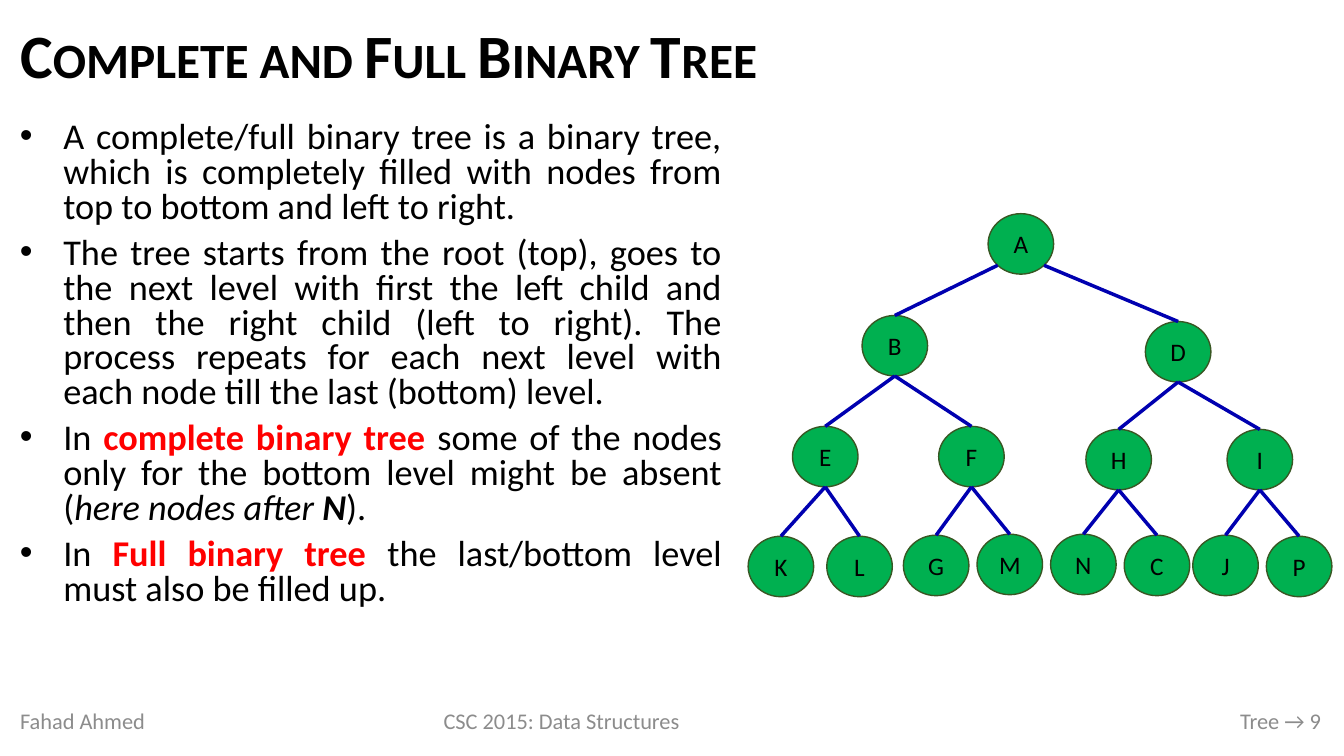
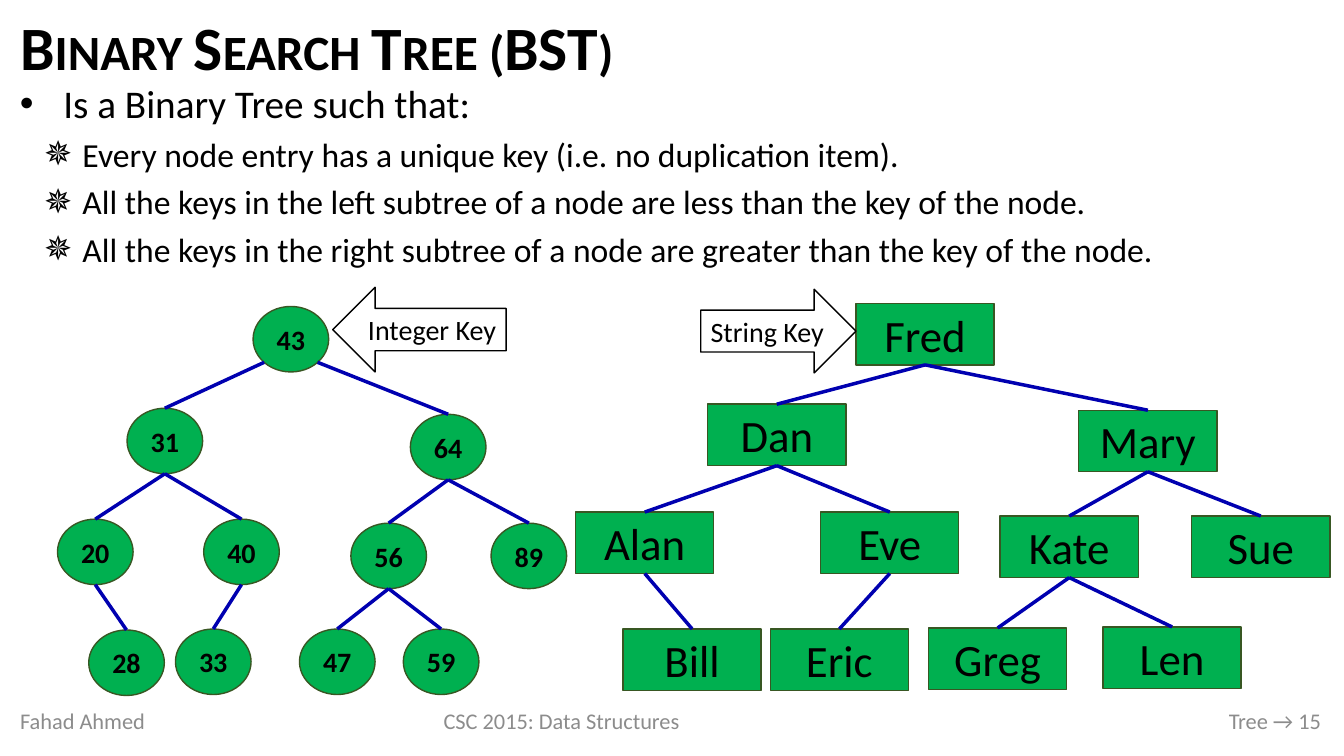
from dataclasses import dataclass
from math import sqrt

from lxml import etree
from pptx import Presentation
from pptx.dml.color import RGBColor
from pptx.enum.shapes import MSO_CONNECTOR, MSO_SHAPE
from pptx.enum.text import MSO_ANCHOR, PP_ALIGN
from pptx.oxml.ns import qn
from pptx.util import Emu, Pt

EMU_PER_PX = 9144  # 100 px to the inch
TITLE_ONLY = 5
OVAL, BOX = MSO_SHAPE.OVAL, MSO_SHAPE.RECTANGLE
LEFT_ARROW, RIGHT_ARROW = MSO_SHAPE.LEFT_ARROW, MSO_SHAPE.RIGHT_ARROW
STRAIGHT = MSO_CONNECTOR.STRAIGHT
MIDDLE, TOP = MSO_ANCHOR.MIDDLE, MSO_ANCHOR.TOP
LEFT, CENTER, RIGHT = PP_ALIGN.LEFT, PP_ALIGN.CENTER, PP_ALIGN.RIGHT
JUSTIFY = PP_ALIGN.JUSTIFY


@dataclass(frozen=True)
class Theme:
    font: str = "Calibri"
    text: str = "000000"
    keyword: str = "FF0000"
    footer: str = "8C8C8C"
    paper: str = "FFFFFF"
    node: str = "00B050"
    node_line: str = "385723"
    edge: str = "0000B0"
    title_size: float = 44
    footer_size: float = 16
    callout_size: float = 20
    outline_width: float = 1
    edge_width: float = 2.5


@dataclass(frozen=True)
class NodeStyle:
    outline: int
    width: int
    height: int
    size: int
    bold: bool
    bottom_site: int


@dataclass(frozen=True)
class BulletStyle:
    char: str
    level: int
    margin: int
    hanging: int
    size: float
    line_spacing: float


THEME = Theme()
LETTER_NODE = NodeStyle(OVAL, 65, 60, 18, False, 4)
NUMBER_NODE = NodeStyle(OVAL, 75, 65, 20, True, 4)
NAME_NODE = NodeStyle(BOX, 137, 61, 32, False, 2)

DENSE_POINT = BulletStyle("•", 0, 43, 43, 25.9, 0.8)
MAIN_POINT = BulletStyle("•", 0, 43, 43, 28, 0.9)
SUB_POINT = BulletStyle("✵", 1, 62, 38, 24, 0.9)

KEYWORD = {"bold": True, "color": THEME.keyword}
ITALIC = {"italic": True}
BOLD_ITALIC = {"bold": True, "italic": True}

COMPLETE_TREE_POINTS = [
    (DENSE_POINT, [("A complete/full binary tree is a binary tree, which is completely "
                    "filled with nodes from top to bottom and left to right.", {})]),
    (DENSE_POINT, [("The tree starts from the root (top), goes to the next level with "
                    "first the left child and then the right child (left to right). "
                    "The process repeats for each next level with each node till the "
                    "last (bottom) level.", {})]),
    (DENSE_POINT, [("In ", {}), ("complete binary tree ", KEYWORD),
                   ("some of the nodes only for the bottom level might be absent (", {}),
                   ("here nodes after ", ITALIC), ("N", BOLD_ITALIC), (").", {})]),
    (DENSE_POINT, [("In ", {}), ("Full binary tree ", KEYWORD),
                   ("the last/bottom level must also be filled up.", {})]),
]
SEARCH_TREE_POINTS = [
    (MAIN_POINT, [("Is a Binary Tree such that:", {})]),
    (SUB_POINT, [("Every node entry has a unique key (i.e. no duplication item).", {})]),
    (SUB_POINT, [("All the keys in the left subtree of a node are less than the key "
                  "of the node.", {})]),
    (SUB_POINT, [("All the keys in the right subtree of a node are greater than the "
                  "key of the node.", {})]),
]

# Each node: label, left, top, parent
LETTER_TREE = [
    ("A", 980, 212, None),
    ("B", 855, 313, "A"), ("D", 1136, 319, "A"),
    ("E", 786, 423, "B"), ("F", 931, 423, "B"),
    ("H", 1077, 426, "D"), ("I", 1217, 426, "D"),
    ("K", 742, 532, "E"), ("L", 820, 532, "E"),
    ("G", 896, 531, "F"), ("M", 969, 530, "F"),
    ("N", 1042, 530, "H"), ("C", 1115, 531, "H"),
    ("J", 1183, 531, "I"), ("P", 1256, 532, "I"),
]
NUMBER_TREE = [
    ("43", 251, 304, None),
    ("31", 126, 405, "43"), ("64", 407, 411, "43"),
    ("20", 57, 515, "31"), ("40", 202, 515, "31"),
    ("56", 348, 519, "64"), ("89", 487, 519, "64"),
    ("28", 88, 625, "20"), ("33", 174, 624, "40"),
    ("47", 297, 624, "56"), ("59", 400, 624, "56"),
]
NAME_TREE = [
    ("Fred", 849, 301, None),
    ("Dan", 702, 401, "Fred"), ("Mary", 1070, 407, "Fred"),
    ("Alan", 571, 508, "Dan"), ("Eve", 814, 508, "Dan"),
    ("Kate", 992, 512, "Mary"), ("Sue", 1182, 512, "Mary"),
    ("Bill", 618, 624, "Alan"), ("Eric", 764, 624, "Eve"),
    ("Greg", 921, 623, "Kate"), ("Len", 1094, 622, "Kate"),
]


def px(length):
    return Emu(round(length * EMU_PER_PX))


def rgb(color):
    return RGBColor.from_string(color)


def set_attributes(target, values):
    for name, value in values.items():
        setattr(target, name, value)


def add_run(paragraph, text, size, color=THEME.text, **font_values):
    run = paragraph.add_run()
    run.text = text
    run.font.color.rgb = rgb(color)
    set_attributes(run.font, {"name": THEME.font, "size": Pt(size), **font_values})
    return run


def add_text_frame(slide, left, top, width, height, anchor):
    frame = slide.shapes.add_textbox(px(left), px(top), px(width), px(height)).text_frame
    set_attributes(frame, {"word_wrap": True, "vertical_anchor": anchor})
    return frame


def add_title(slide, text, height):
    title = slide.shapes.title
    set_attributes(title, {"left": px(10), "top": px(11),
                           "width": px(1310), "height": px(height)})
    title.text_frame.vertical_anchor = MIDDLE
    paragraph = title.text_frame.paragraphs[0]
    set_attributes(paragraph, {"alignment": LEFT, "line_spacing": 0.9})
    run = add_run(paragraph, text, THEME.title_size, bold=True)
    run.font._element.set("cap", "small")


def add_footer(slide, page):
    parts = [("Fahad Ahmed", 10, 241, LEFT),
             ("CSC 2015: Data Structures", 389, 336, CENTER),
             (f"Tree → {page}", 771, 549, RIGHT)]
    for text, left, width, alignment in parts:
        paragraph = add_text_frame(slide, left, 695, width, 40, MIDDLE).paragraphs[0]
        paragraph.alignment = alignment
        add_run(paragraph, text, THEME.footer_size, THEME.footer)


def set_bullet(paragraph, style):
    properties = paragraph._p.get_or_add_pPr()
    properties.set("marL", str(px(style.margin)))
    properties.set("indent", str(px(-style.hanging)))
    etree.SubElement(properties, qn("a:buFont"), typeface="Arial")
    etree.SubElement(properties, qn("a:buChar"), char=style.char)


def add_points(slide, points, top, width, height):
    frame = add_text_frame(slide, 10, top, width, height, TOP)
    for index, (style, runs) in enumerate(points):
        paragraph = frame.add_paragraph() if index else frame.paragraphs[0]
        set_attributes(paragraph, {
            "alignment": JUSTIFY, "level": style.level,
            "line_spacing": style.line_spacing,
            "space_before": Pt(4), "space_after": Pt(4)})
        set_bullet(paragraph, style)
        for text, emphasis in runs:
            add_run(paragraph, text, style.size, **emphasis)


def add_labelled_shape(slide, outline, box, label, size, alignment, fill, line, bold=False):
    shape = slide.shapes.add_shape(outline, *map(px, box))
    shape.shadow.inherit = False
    shape.fill.solid()
    shape.fill.fore_color.rgb = rgb(fill)
    shape.line.color.rgb = rgb(line)
    shape.line.width = Pt(THEME.outline_width)
    shape.text_frame.vertical_anchor = MIDDLE
    paragraph = shape.text_frame.paragraphs[0]
    paragraph.alignment = alignment
    add_run(paragraph, label, size, bold=bold)
    return shape


def add_node(slide, style, label, left, top):
    node = add_labelled_shape(slide, style.outline, (left, top, style.width, style.height),
                              label, style.size, CENTER, THEME.node, THEME.node_line,
                              style.bold)
    set_attributes(node.text_frame, dict.fromkeys(
        ("margin_left", "margin_right", "margin_top", "margin_bottom"), 0))
    return node


def edge_start(parent, child, style, from_root):
    """Return the x, y and connection site at which the edge leaves the parent."""
    x = parent.left + parent.width // 2
    if not (from_root and style.outline == OVAL):
        return x, parent.top + parent.height, style.bottom_site
    side = -1 if child.left < parent.left else 1
    reach = sqrt(2) / 4  # 45 degrees round the oval
    return (round(x + side * reach * parent.width),
            round(parent.top + (0.5 + reach) * parent.height),
            style.bottom_site + side)


def add_edge(slide, parent, child, style, from_root):
    x, y, start_site = edge_start(parent, child, style, from_root)
    edge = slide.shapes.add_connector(STRAIGHT, x, y, child.left + child.width // 2, child.top)
    edge.line.color.rgb = rgb(THEME.edge)
    edge.line.width = Pt(THEME.edge_width)
    etree.SubElement(edge._element.spPr, qn("a:effectLst"))
    links = edge._element.nvCxnSpPr.cNvCxnSpPr
    for tag, node, site in (("a:stCxn", parent, start_site), ("a:endCxn", child, 0)):
        etree.SubElement(links, qn(tag), id=str(node.shape_id), idx=str(site))


def add_tree(slide, tree, style):
    nodes = {label: add_node(slide, style, label, left, top)
             for label, left, top, _ in tree}
    root = tree[0][0]
    for label, _, _, parent in tree[1:]:
        add_edge(slide, nodes[parent], nodes[label], style, parent == root)


def add_callout(slide, arrow, box, label, alignment):
    add_labelled_shape(slide, arrow, box, label, THEME.callout_size, alignment,
                       THEME.paper, THEME.text)


def add_lecture_slide(deck, title, title_height, page):
    slide = deck.slides.add_slide(deck.slide_layouts[TITLE_ONLY])
    add_title(slide, title, title_height)
    add_footer(slide, page)
    return slide


def add_complete_tree_slide(deck):
    slide = add_lecture_slide(deck, "Complete and Full Binary Tree", 95, 9)
    add_points(slide, COMPLETE_TREE_POINTS, 116, 716, 543)
    add_tree(slide, LETTER_TREE, LETTER_NODE)


def add_search_tree_slide(deck):
    slide = add_lecture_slide(deck, "Binary Search Tree (BST)", 78, 15)
    add_points(slide, SEARCH_TREE_POINTS, 79, 1310, 206)
    add_tree(slide, NUMBER_TREE, NUMBER_NODE)
    add_tree(slide, NAME_TREE, NAME_NODE)
    add_callout(slide, LEFT_ARROW, (330, 285, 172, 84), "Integer Key", RIGHT)
    add_callout(slide, RIGHT_ARROW, (695, 287, 154, 83), "String Key", LEFT)


def main():
    deck = Presentation()
    deck.slide_width, deck.slide_height = px(1333), px(750)
    add_complete_tree_slide(deck)
    add_search_tree_slide(deck)
    deck.save("out.pptx")


if __name__ == "__main__":
    main()
